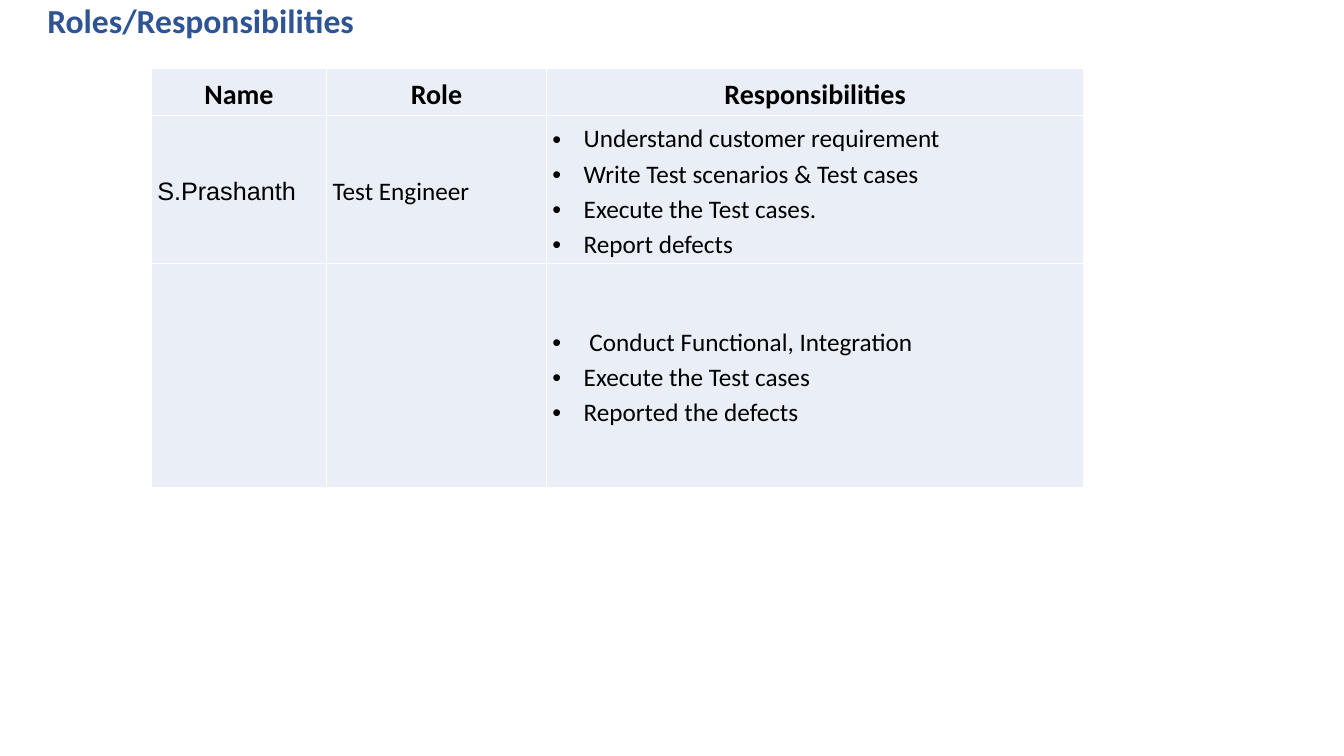
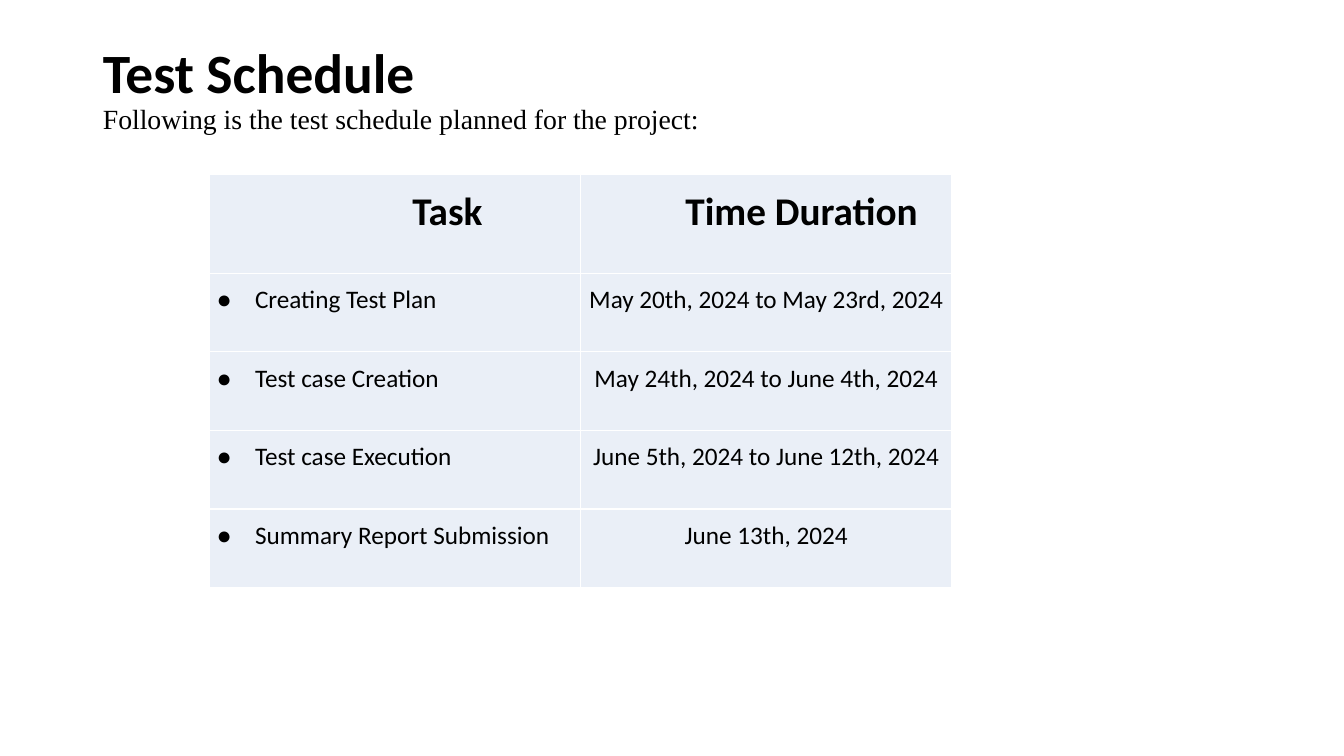
from dataclasses import dataclass

from lxml.etree import SubElement
from pptx import Presentation
from pptx.dml.color import RGBColor
from pptx.enum.text import MSO_ANCHOR, MSO_AUTO_SIZE, PP_ALIGN
from pptx.oxml.ns import qn
from pptx.slide import Slide
from pptx.table import _Cell
from pptx.text.text import _Paragraph
from pptx.util import Emu, Pt

# Shared style
EMU_PER_PX = 9144  # 100 px to the inch
COLORS = {
    "heading": "2F5496",
    "text": "000000",
    "cell": "EAEFF7",
    "border": "FFFFFF",
}
TITLE_SPACING = 0.9
CELL_SPACING = 1.14
BORDER_PT = 1


@dataclass(frozen=True)
class Style:
    size: float
    bold: bool = False
    font: str = "Calibri"
    color: str = "text"


@dataclass(frozen=True)
class Entry:
    """Content of one table cell; hang is the width kept for a bullet."""
    lines: tuple[str, ...] = ()
    style: Style = Style(18)
    align: PP_ALIGN = PP_ALIGN.LEFT
    bullet: str = ""
    hang: int = 0
    indent: int = 0


@dataclass(frozen=True)
class Grid:
    left: int
    top: int
    columns: tuple[int, ...]
    rows: tuple[int, ...]
    margin_x: int
    margin_y: int
    anchor: MSO_ANCHOR
    entries: tuple[tuple[Entry, ...], ...]


def px(length: int) -> Emu:
    return Emu(length * EMU_PER_PX)


def add_run(paragraph: _Paragraph, text: str, style: Style) -> None:
    run = paragraph.add_run()
    run.text = text
    run.font.size = Pt(style.size)
    run.font.bold = style.bold
    run.font.name = style.font
    run.font.color.rgb = RGBColor.from_string(COLORS[style.color])


def set_title(slide: Slide, box: tuple[int, int, int, int],
              lines: list[tuple[str, Style]]) -> None:
    title = slide.shapes.title
    title.left, title.top, title.width, title.height = map(px, box)
    frame = title.text_frame
    frame.auto_size = MSO_AUTO_SIZE.NONE
    frame.word_wrap = True
    frame.vertical_anchor = MSO_ANCHOR.TOP
    frame.margin_top = frame.margin_bottom = 0
    for index, (text, style) in enumerate(lines):
        paragraph = frame.add_paragraph() if index else frame.paragraphs[0]
        paragraph.alignment = PP_ALIGN.LEFT
        paragraph.line_spacing = TITLE_SPACING
        paragraph.space_before = Pt(0)
        add_run(paragraph, text, style)


def set_borders(cell: _Cell) -> None:
    properties = cell._tc.get_or_add_tcPr()
    for side in ("a:lnL", "a:lnR", "a:lnT", "a:lnB"):
        line = SubElement(properties, qn(side), w=str(Pt(BORDER_PT)))
        fill = SubElement(line, qn("a:solidFill"))
        SubElement(fill, qn("a:srgbClr"), val=COLORS["border"])


def set_indent(paragraph: _Paragraph, entry: Entry) -> None:
    properties = paragraph._p.get_or_add_pPr()
    properties.set("marL", str(px(entry.indent + entry.hang)))
    properties.set("indent", str(px(-entry.hang)))
    if entry.bullet:
        SubElement(properties, qn("a:buFont"), typeface="Arial")
        SubElement(properties, qn("a:buChar"), char=entry.bullet)


def fill_cell(cell: _Cell, entry: Entry, grid: Grid) -> None:
    set_borders(cell)
    cell.fill.solid()
    cell.fill.fore_color.rgb = RGBColor.from_string(COLORS["cell"])
    cell.margin_left = cell.margin_right = px(grid.margin_x)
    cell.margin_top = cell.margin_bottom = px(grid.margin_y)
    cell.vertical_anchor = grid.anchor
    frame = cell.text_frame
    for index, text in enumerate(entry.lines):
        paragraph = frame.add_paragraph() if index else frame.paragraphs[0]
        paragraph.alignment = entry.align
        paragraph.line_spacing = CELL_SPACING
        set_indent(paragraph, entry)
        add_run(paragraph, text, entry.style)


def add_grid(slide: Slide, grid: Grid) -> None:
    table = slide.shapes.add_table(
        len(grid.rows), len(grid.columns), px(grid.left), px(grid.top),
        px(sum(grid.columns)), px(sum(grid.rows))).table
    table.first_row = table.horz_banding = False
    for column, width in zip(table.columns, grid.columns):
        column.width = px(width)
    for row, height, entries in zip(table.rows, grid.rows, grid.entries):
        row.height = px(height)
        for cell, entry in zip(row.cells, entries):
            fill_cell(cell, entry, grid)


# Roles slide
def duties(*lines: str) -> Entry:
    return Entry(lines, bullet="•", hang=31)


ROLE_HEADER = Style(20, bold=True)
ROLES = Grid(
    left=150, top=68, columns=(174, 218, 533), rows=(45, 147, 222),
    margin_x=6, margin_y=4, anchor=MSO_ANCHOR.MIDDLE,
    entries=(
        tuple(Entry((label,), ROLE_HEADER, PP_ALIGN.CENTER)
              for label in ("Name", "Role", "Responsibilities")),
        (Entry(("S.Prashanth",), Style(18, font="Arial")),
         Entry(("Test Engineer",)),
         duties("Understand customer requirement",
                "Write Test scenarios & Test cases",
                "Execute the Test cases.",
                "Report defects")),
        (Entry(), Entry(),
         duties(" Conduct Functional, Integration",
                "Execute the Test cases",
                "Reported the defects")),
    ))

# Schedule slide
TASKS = (
    ("Creating Test Plan", "May 20th, 2024 to May 23rd, 2024"),
    ("Test case Creation", "May 24th, 2024 to June 4th, 2024"),
    ("Test case Execution", "June 5th, 2024 to June 12th, 2024"),
    ("Summary Report Submission", "June 13th, 2024"),
)
SCHEDULE_HEADER = Style(28, bold=True)
SCHEDULE = Grid(
    left=208, top=173, columns=(368, 368), rows=(98,) + (78,) * len(TASKS),
    margin_x=7, margin_y=7, anchor=MSO_ANCHOR.TOP,
    entries=(
        (Entry(("Task",), SCHEDULE_HEADER, indent=194),
         Entry(("Time Duration",), SCHEDULE_HEADER, PP_ALIGN.CENTER, indent=70)),
        *((Entry((task,), bullet="●", hang=38),
           Entry((duration,), align=PP_ALIGN.CENTER))
          for task, duration in TASKS),
    ))


def main() -> None:
    deck = Presentation()
    deck.slide_width, deck.slide_height = px(1333), px(750)
    title_only = deck.slide_layouts[5]

    roles = deck.slides.add_slide(title_only)
    set_title(roles, (37, 4, 1150, 60), [
        ("Roles/Responsibilities", Style(24, bold=True, color="heading")),
    ])
    add_grid(roles, ROLES)

    schedule = deck.slides.add_slide(title_only)
    set_title(schedule, (92, 45, 1150, 115), [
        ("Test Schedule", Style(39.6, bold=True)),
        ("Following is the test schedule planned for the project:",
         Style(19.8, font="Times New Roman")),
    ])
    add_grid(schedule, SCHEDULE)

    deck.save("out.pptx")


if __name__ == "__main__":
    main()
